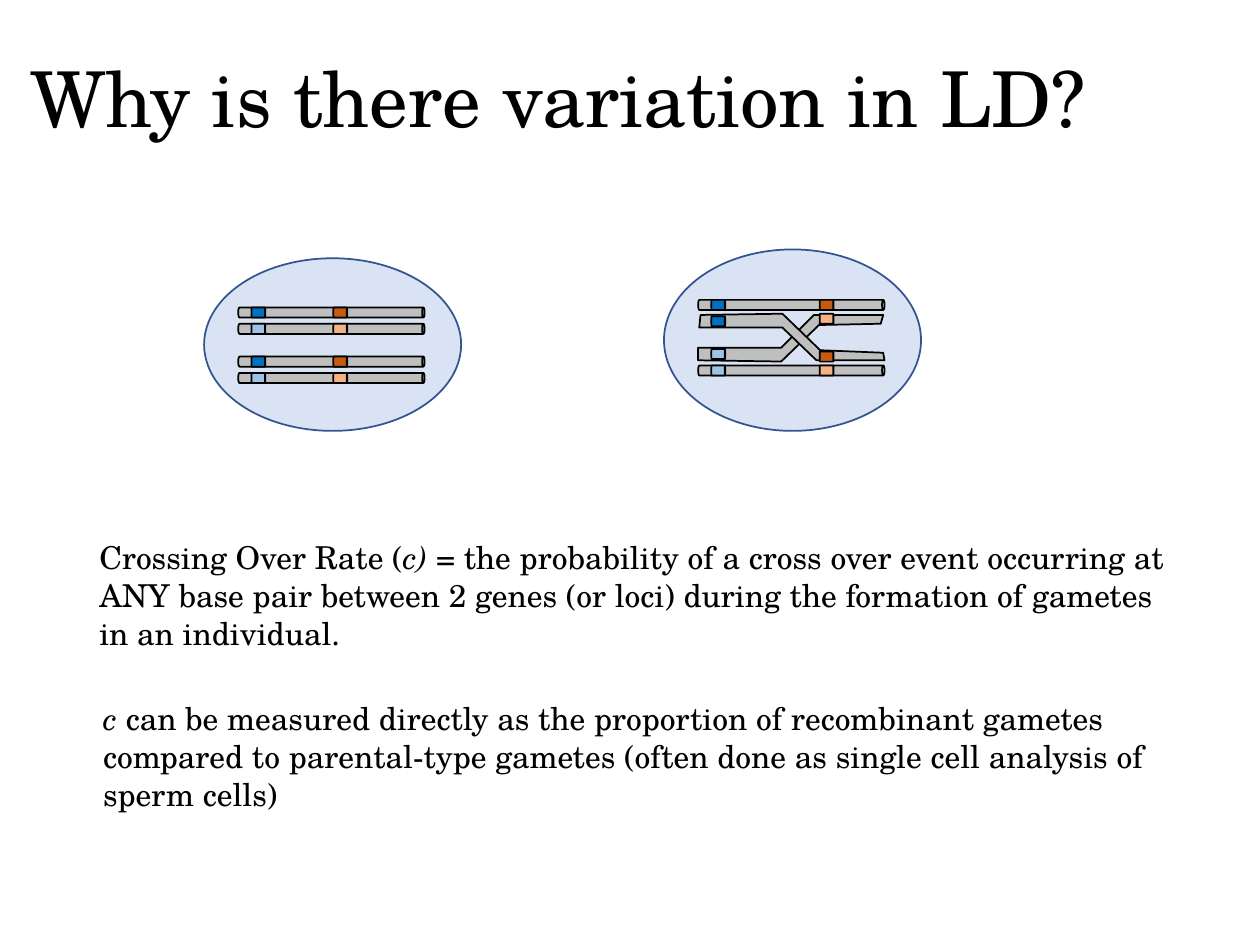
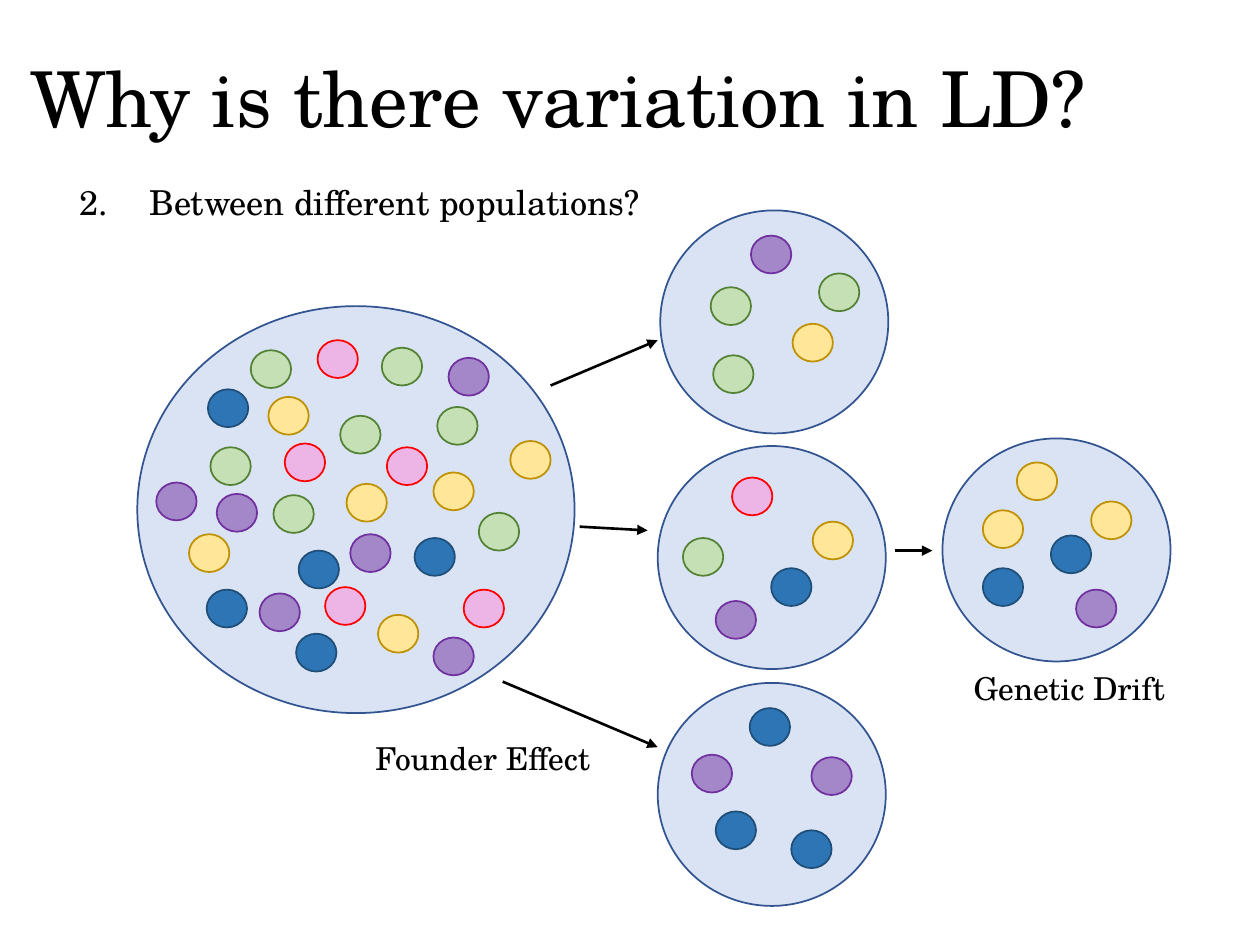
import lxml.etree
import pptx
import pptx.dml.color
import pptx.enum.shapes
import pptx.enum.text
import pptx.oxml.ns
import pptx.util

Inches = pptx.util.Inches
Pt = pptx.util.Pt
RGBColor = pptx.dml.color.RGBColor
MSO_SHAPE = pptx.enum.shapes.MSO_SHAPE
qn = pptx.oxml.ns.qn

FONT = "TeX Gyre Schola"
TITLE = "Why is there variation in LD?"
BLACK = RGBColor(0x00, 0x00, 0x00)
CELL_FILL = RGBColor(0xDA, 0xE3, 0xF3)
CELL_LINE = RGBColor(0x32, 0x54, 0x91)
CHROMOSOME = RGBColor(0xBF, 0xBF, 0xBF)
DARK_BLUE = RGBColor(0x00, 0x70, 0xC0)
LIGHT_BLUE = RGBColor(0x9D, 0xC3, 0xE6)
DARK_ORANGE = RGBColor(0xC5, 0x5A, 0x11)
LIGHT_ORANGE = RGBColor(0xF4, 0xB1, 0x83)

# Allele: fill, outline, opacity in percent
GREEN = (RGBColor(0xC5, 0xE0, 0xB4), RGBColor(0x54, 0x82, 0x35), 100)
YELLOW = (RGBColor(0xFF, 0xE6, 0x99), RGBColor(0xBF, 0x90, 0x00), 100)
BLUE = (RGBColor(0x2E, 0x75, 0xB6), RGBColor(0x1F, 0x4E, 0x79), 100)
PINK = (RGBColor(0xFF, 0x8A, 0xD8), RGBColor(0xFF, 0x00, 0x00), 51)
PURPLE = (RGBColor(0x70, 0x30, 0xA0), RGBColor(0x70, 0x30, 0xA0), 51)

THICKNESS = 0.08
CHROMOSOME_LENGTH = 1.48
LOCUS_LENGTH = 0.11
ALLELE_SIZE = (0.32, 0.3)
SMALL_POPULATION = (1.81, 1.77)

# Each population: bounds, then the places of each allele
SOURCE_POPULATION = ((1.09, 2.43, 3.47, 3.23), {
    GREEN: [(2.17, 3.93), (1.67, 3.55), (3.47, 3.23), (3.8, 4.07),
            (2.7, 3.3), (3.03, 2.76), (1.99, 2.78)],
    YELLOW: [(1.5, 4.24), (2.75, 3.84), (3.44, 3.75), (2.13, 3.15),
             (4.05, 3.5), (3, 4.88)],
    BLUE: [(2.35, 5.03), (1.64, 4.68), (1.65, 3.09), (2.37, 4.37),
           (3.29, 4.27)],
    PINK: [(2.58, 4.66), (2.26, 3.52), (3.68, 4.68), (3.07, 3.55),
           (2.52, 2.7)],
    PURPLE: [(1.72, 3.92), (2.06, 4.71), (3.44, 5.06), (3.56, 2.84),
             (2.78, 4.24), (1.24, 3.83)],
})
FOUNDER_POPULATIONS = [
    ((5.24, 1.67, *SMALL_POPULATION), {
        PURPLE: [(5.96, 1.87)],
        GREEN: [(6.5, 2.17), (5.64, 2.28), (5.66, 2.82)],
        YELLOW: [(6.29, 2.57)],
    }),
    ((5.22, 3.54, *SMALL_POPULATION), {
        PINK: [(5.81, 3.79)],
        YELLOW: [(6.45, 4.14)],
        GREEN: [(5.42, 4.27)],
        BLUE: [(6.12, 4.51)],
        PURPLE: [(5.68, 4.77)],
    }),
    ((5.22, 5.42, *SMALL_POPULATION), {
        BLUE: [(5.95, 5.62), (5.68, 6.44), (6.28, 6.59)],
        PURPLE: [(5.49, 5.99), (6.44, 6.01)],
    }),
]
DRIFTED_POPULATION = ((7.48, 3.48, *SMALL_POPULATION), {
    YELLOW: [(8.07, 3.67), (8.66, 3.98), (7.8, 4.05)],
    BLUE: [(7.8, 4.51), (8.34, 4.25)],
    PURPLE: [(8.54, 4.68)],
})
ARROWS = [
    ((4.37, 3.06), (5.22, 2.7)),
    ((4.6, 4.18), (5.14, 4.21)),
    ((3.99, 5.41), (5.22, 5.93)),
    ((7.1, 4.37), (7.4, 4.37)),
]

RISING_CHROMATID = [(5.54, 2.76), (6.2, 2.76), (6.46, 2.5), (7.01, 2.5),
                    (6.99, 2.57), (6.5, 2.58), (6.2, 2.87), (5.54, 2.86)]
FALLING_CHROMATID = [(5.55, 2.6), (6.21, 2.6), (6.48, 2.86), (7.02, 2.86),
                     (7.01, 2.8), (6.51, 2.78), (6.21, 2.49), (5.56, 2.5)]

TITLE_FORMAT = {"size": Pt(44)}
LIST_FORMAT = {"size": Pt(19.6)}
BODY_FORMAT = {"size": Pt(18)}


def add_element(parent, tag, **attributes):
    lxml.etree.SubElement(parent, qn(tag), attributes)


def style_shape(shape, fill, line=BLACK, opacity=100):
    shape.shadow.inherit = False
    shape.fill.solid()
    shape.fill.fore_color.rgb = fill
    shape.line.color.rgb = line
    shape.line.width = Pt(1)
    if opacity < 100:
        color = shape._element.spPr.find(f"{qn('a:solidFill')}/{qn('a:srgbClr')}")
        add_element(color, "a:alpha", val=str(opacity * 1000))


def add_ellipse(shapes, bounds, fill=CELL_FILL, line=CELL_LINE, opacity=100):
    shape = shapes.add_shape(MSO_SHAPE.OVAL, *map(Inches, bounds))
    style_shape(shape, fill, line, opacity)


def add_cylinder(shapes, center, length, fill, rim=0.25):
    """Add a can lying on its side around its center."""
    x, y = center
    shape = shapes.add_shape(
        MSO_SHAPE.CAN, Inches(x - THICKNESS / 2), Inches(y - length / 2),
        Inches(THICKNESS), Inches(length))
    shape.rotation = 90
    shape.adjustments[0] = rim
    style_shape(shape, fill)


def add_locus(shapes, center, fill):
    add_cylinder(shapes, center, LOCUS_LENGTH, fill, rim=0.036)


def add_chromatid(shapes, points):
    """Add a bent chromatid that takes part in the cross over."""
    points = [(Inches(x), Inches(y)) for x, y in points]
    builder = shapes.build_freeform(*points[0])
    builder.add_line_segments(points[1:], close=True)
    style_shape(builder.convert_to_shape(), CHROMOSOME)


def add_text(slide, bounds, runs, text_format, wrap=True, grow=True):
    """Add one paragraph made of (text, italic) runs and return its box."""
    box = slide.shapes.add_textbox(*map(Inches, bounds))
    frame = box.text_frame
    frame.word_wrap = wrap
    if grow:
        frame.auto_size = pptx.enum.text.MSO_AUTO_SIZE.SHAPE_TO_FIT_TEXT
    for text, italic in runs:
        run = frame.paragraphs[0].add_run()
        run.text = text
        run.font.color.rgb = BLACK
        font_format = {"name": FONT, "italic": italic, **text_format}
        for name, value in font_format.items():
            setattr(run.font, name, value)
    return box


def add_title(slide):
    box = add_text(slide, (0.14, 0.09, 8.62, 1.45), [(TITLE, False)],
                   TITLE_FORMAT, grow=False)
    box.text_frame.vertical_anchor = pptx.enum.text.MSO_ANCHOR.MIDDLE
    box.text_frame.paragraphs[0].line_spacing = 0.9


def add_numbered_item(slide, bounds, number, text):
    box = add_text(slide, bounds, [(text, False)], LIST_FORMAT, grow=False)
    paragraph = box.text_frame.paragraphs[0]
    properties = paragraph._p.get_or_add_pPr()
    properties.set("marL", str(Inches(0.56)))
    properties.set("indent", str(-Inches(0.56)))
    add_element(properties, "a:buAutoNum", type="arabicPeriod",
                startAt=str(number))
    paragraph.line_spacing = 1.8


def add_arrow(slide, start, end):
    connector = slide.shapes.add_connector(
        pptx.enum.shapes.MSO_CONNECTOR.STRAIGHT, *map(Inches, start + end))
    connector.line.color.rgb = BLACK
    connector.line.width = Pt(1.5)
    properties = connector._element.spPr
    add_element(properties.find(qn("a:ln")), "a:tailEnd", type="triangle")
    add_element(properties, "a:effectLst")


def add_population(slide, population):
    bounds, alleles = population
    add_ellipse(slide.shapes, bounds)
    for colors, places in alleles.items():
        for place in places:
            add_ellipse(slide.shapes, place + ALLELE_SIZE, *colors)


def add_parental_cell(slide):
    shapes = slide.shapes.add_group_shape().shapes
    add_ellipse(shapes, (1.62, 2.05, 2.04, 1.37))
    for pair_top in (2.48, 2.87):
        rows = [(pair_top, DARK_BLUE, DARK_ORANGE),
                (pair_top + 0.13, LIGHT_BLUE, LIGHT_ORANGE)]
        for y, left_color, right_color in rows:
            add_cylinder(shapes, (2.63, y), CHROMOSOME_LENGTH, CHROMOSOME)
            add_locus(shapes, (2.05, y), left_color)
            add_locus(shapes, (2.7, y), right_color)


def add_crossing_cell(slide):
    shapes = slide.shapes.add_group_shape().shapes
    add_ellipse(shapes, (5.27, 1.98, 2.04, 1.44))
    for y in (2.42, 2.94):
        add_cylinder(shapes, (6.28, y), CHROMOSOME_LENGTH, CHROMOSOME)
    for points in (RISING_CHROMATID, FALLING_CHROMATID):
        add_chromatid(shapes, points)
    loci = [
        (2.42, DARK_BLUE, 2.42, DARK_ORANGE),
        (2.94, LIGHT_BLUE, 2.94, LIGHT_ORANGE),
        (2.81, LIGHT_BLUE, 2.53, LIGHT_ORANGE),
        (2.55, DARK_BLUE, 2.83, DARK_ORANGE),
    ]
    for left_y, left_color, right_y, right_color in loci:
        add_locus(shapes, (5.7, left_y), left_color)
        add_locus(shapes, (6.56, right_y), right_color)


def add_slide(presentation):
    slide = presentation.slides.add_slide(presentation.slide_layouts[6])
    add_title(slide)
    return slide


def build_crossing_over(presentation):
    slide = add_slide(presentation)
    add_parental_cell(slide)
    add_crossing_cell(slide)
    add_text(slide, (0.69, 4.22, 8.7, 1.01), [
        ("Crossing Over Rate (", False),
        ("c)", True),
        (" = the probability of a cross over event occurring at ANY base pair "
         "between 2 genes (or loci) during the formation of gametes in an "
         "individual.", False),
    ], BODY_FORMAT)
    add_text(slide, (0.72, 5.5, 8.7, 1.01), [
        ("c ", True),
        ("can be measured directly as the proportion of recombinant gametes "
         "compared to parental-type gametes (often done as single cell "
         "analysis of sperm cells)", False),
    ], BODY_FORMAT)


def build_populations(presentation):
    slide = add_slide(presentation)
    add_numbered_item(slide, (0.53, 1.13, 8.62, 0.75), 2,
                      "Between different populations?")
    for population in [SOURCE_POPULATION, *FOUNDER_POPULATIONS,
                       DRIFTED_POPULATION]:
        add_population(slide, population)
    for start, end in ARROWS:
        add_arrow(slide, start, end)
    labels = [("Founder Effect", (2.88, 5.82, 1.95, 0.4)),
              ("Genetic Drift", (7.63, 5.26, 1.73, 0.4))]
    for label, bounds in labels:
        add_text(slide, bounds, [(label, False)], BODY_FORMAT, wrap=False)


def main():
    presentation = pptx.Presentation()
    presentation.slide_width = Inches(10)
    presentation.slide_height = Inches(7.5)
    build_crossing_over(presentation)
    build_populations(presentation)
    presentation.save("out.pptx")


if __name__ == "__main__":
    main()
